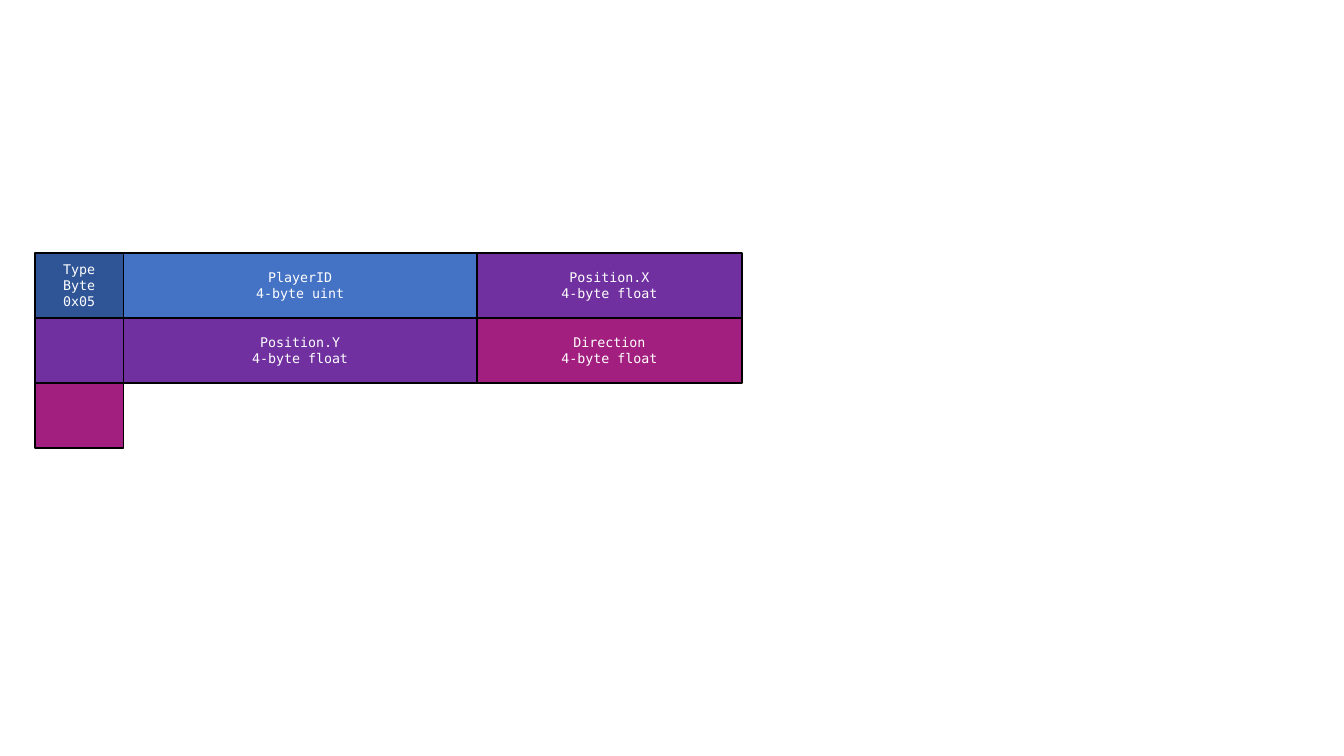
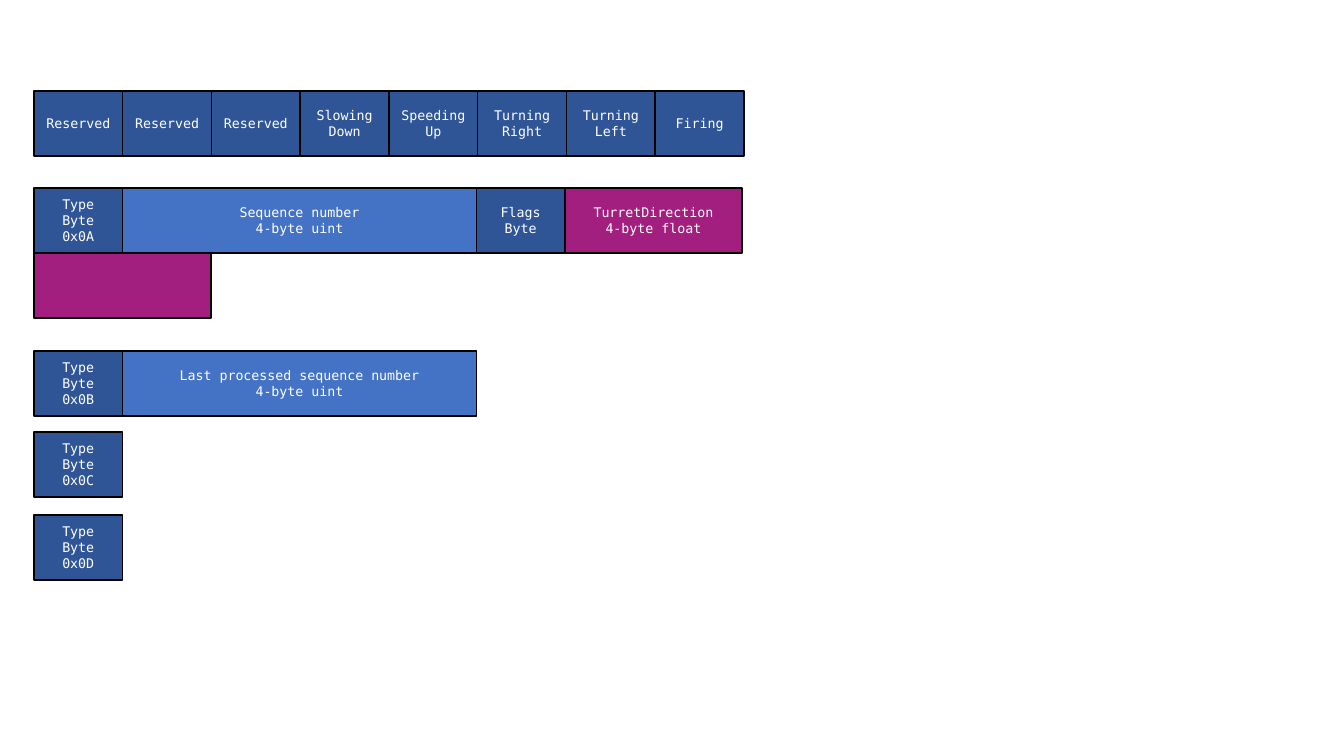
import dataclasses

import pptx
import pptx.dml.color
import pptx.enum.shapes
import pptx.enum.text
import pptx.util

SCALE = 914400 / 100.8


@dataclasses.dataclass(frozen=True)
class Theme:
    """Colours and type shared by all slides."""
    byte: str = "2F5597"
    whole: str = "4472C4"
    place: str = "7030A0"
    angle: str = "A21E7F"
    edge: str = "000000"
    text: str = "FFFFFF"
    font: str = "DejaVu Sans Mono"
    size: float = 9.5


def emu(pixels):
    """Turn pixels into EMU."""
    return pptx.util.Emu(round(pixels * SCALE))


def rgb(value):
    """Turn a hex string into a colour."""
    return pptx.dml.color.RGBColor.from_string(value)


def assign(target, values):
    """Set attributes from a dict of format values."""
    for name, value in values.items():
        setattr(target, name, value)


class Deck:
    """Holds the style and the current slide."""

    def __init__(self, theme):
        """Start an empty wide presentation."""
        self.theme = theme
        self.show = pptx.Presentation()
        assign(self.show, {"slide_width": emu(1344), "slide_height": emu(756)})
        self.slide = None

    def page(self):
        """Add a blank slide and make it current."""
        self.slide = self.show.slides.add_slide(self.show.slide_layouts[6])

    def cell(self, shapes, left, top, width, height, fill, label):
        """Draw one outlined box with a centred label."""
        theme = self.theme
        box = shapes.add_shape(
            pptx.enum.shapes.MSO_SHAPE.RECTANGLE,
            emu(left), emu(top), emu(width), emu(height))
        box.shadow.inherit = False
        box.fill.solid()
        box.fill.fore_color.rgb = rgb(fill)
        box.line.color.rgb = rgb(theme.edge)
        box.line.width = pptx.util.Pt(1)
        if not label:
            return
        frame = box.text_frame
        assign(frame, {
            "word_wrap": True, "margin_left": 0, "margin_right": 0,
            "vertical_anchor": pptx.enum.text.MSO_ANCHOR.MIDDLE})
        para = frame.paragraphs[0]
        assign(para, {"text": label, "alignment": pptx.enum.text.PP_ALIGN.CENTER})
        for run in para.runs:
            assign(run.font, {"name": theme.font, "size": pptx.util.Pt(theme.size)})
            run.font.color.rgb = rgb(theme.text)

    def packet(self, left, top, fields, width=708, height=65, count=8):
        """Lay fields of (label, fill, bytes) in rows, wrapping after count."""
        shapes = self.slide.shapes
        if len(fields) > 1:
            shapes = shapes.add_group_shape().shapes
        unit = width / count
        start = 0
        for label, fill, size in fields:
            end = start + size
            parts = []
            while start < end:
                stop = min(end, (start // count + 1) * count)
                parts.append((start, stop - start))
                start = stop
            widest = max(parts, key=lambda part: part[1])
            for part in parts:
                row, col = divmod(part[0], count)
                self.cell(shapes, left + col * unit, top + row * height,
                          part[1] * unit, height, fill,
                          label if part == widest else "")


def kind(code):
    """Give the type field that opens each packet."""
    return f"Type\nByte\n{code}", Theme.byte, 1


def move(deck):
    """Build the slide with the player position packet."""
    deck.page()
    deck.packet(35, 253, [
        kind("0x05"),
        ("PlayerID\n4-byte uint", Theme.whole, 4),
        ("Position.X\n4-byte float", Theme.place, 4),
        ("Position.Y\n4-byte float", Theme.place, 4),
        ("Direction\n4-byte float", Theme.angle, 4),
    ], width=707)


def input_flags(deck):
    """Build the slide with the flag bits and the input packets."""
    deck.page()
    flags = ["Reserved"] * 3 + ["Slowing\nDown", "Speeding\nUp",
                                "Turning\nRight", "Turning\nLeft", "Firing"]
    deck.packet(34, 91, [(flag, Theme.byte, 1) for flag in flags], width=710)
    deck.packet(34, 188, [
        kind("0x0A"),
        ("Sequence number\n4-byte uint", Theme.whole, 4),
        ("Flags\nByte", Theme.byte, 1),
        ("TurretDirection\n4-byte float", Theme.angle, 4),
    ])
    deck.packet(34, 351, [
        kind("0x0B"),
        ("Last processed sequence number\n4-byte uint", Theme.whole, 4),
    ])
    for top, code in ((432, "0x0C"), (515, "0x0D")):
        deck.packet(34, top, [kind(code)])


deck = Deck(Theme())
move(deck)
input_flags(deck)
deck.show.save("out.pptx")
